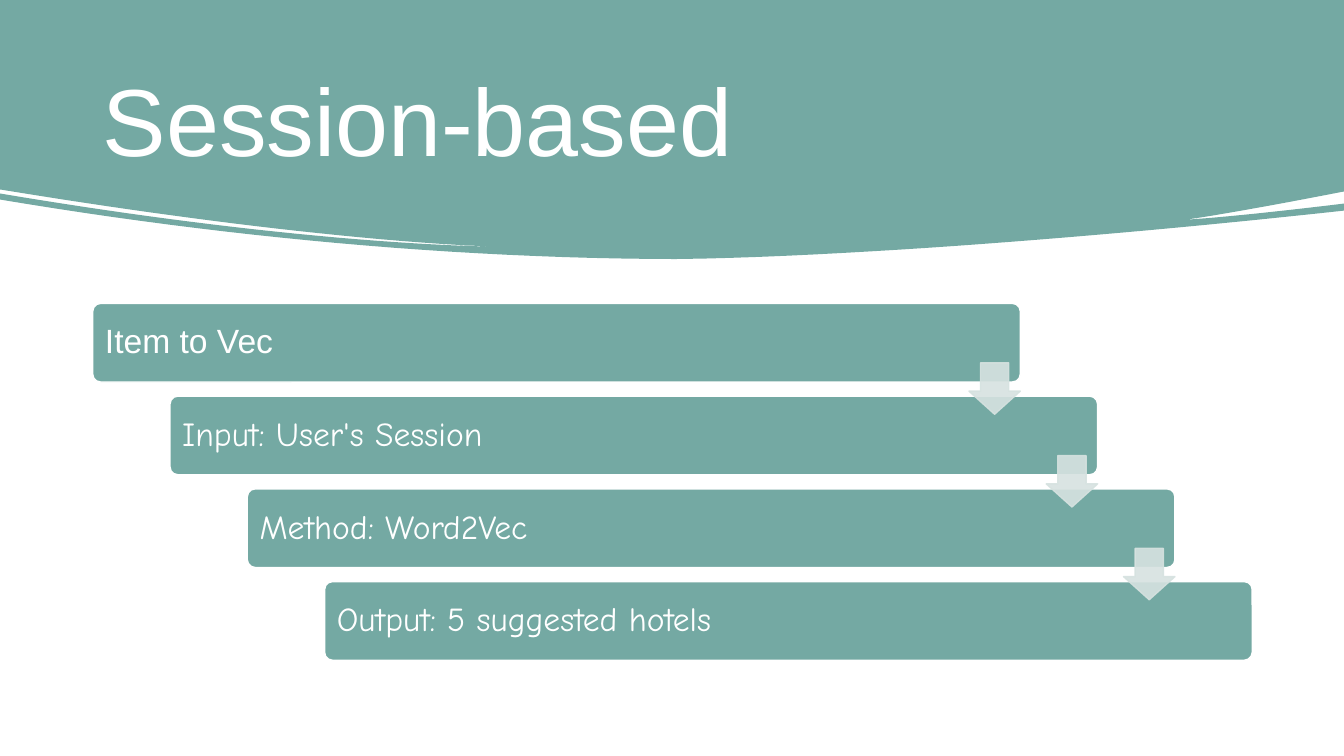
"""Build the "Session-based" slide: a curved banner above four stepped bars."""
from lxml import etree
from pptx import Presentation
from pptx.dml.color import RGBColor
from pptx.enum.shapes import MSO_SHAPE as Shape
from pptx.enum.text import MSO_ANCHOR as Anchor, PP_ALIGN as Align
from pptx.oxml.ns import qn
from pptx.util import Inches, Pt

TEAL, MIST, WHITE = "74A9A3", "D6E2E0", "FFFFFF"
WIDTH, HEIGHT = 13.33, 7.5


def paint(color_format, color):
    color_format.rgb = RGBColor.from_string(color)


def write(frame, words, font, size, line_spacing):
    layout = {"word_wrap": True, "vertical_anchor": Anchor.MIDDLE,
              "margin_left": Inches(0.1), "margin_right": Inches(0.1)}
    for name, value in layout.items():
        setattr(frame, name, value)
    paragraph = frame.paragraphs[0]
    paragraph.alignment = Align.LEFT
    paragraph.line_spacing = line_spacing
    run = paragraph.add_run()
    run.text = words
    for name, value in {"name": font, "size": Pt(size)}.items():
        setattr(run.font, name, value)
    paint(run.font.color, WHITE)


deck = Presentation()
deck.slide_width, deck.slide_height = Inches(WIDTH), Inches(HEIGHT)
slide = deck.slides.add_slide(deck.slide_layouts[6])
slide.background.fill.solid()
paint(slide.background.fill.fore_color, WHITE)

# Each arc rises from its low point to a slide edge: rise = share ** bend.
ARC_STEPS = 24
INWARD, OUTWARD = -1, 1
belly, left_tip, right_tip = (6.7, 2.57), (5.04, 2.45), (11.75, 2.18)
arcs = [
    (right_tip, (WIDTH, 1.9), 1.1, INWARD),
    (right_tip, (WIDTH, 2.02), 1.2, OUTWARD),
    (belly, (WIDTH, 2.09), 1.5, INWARD),
    (belly, (0, 1.98), 1.9, OUTWARD),
    (left_tip, (0, 1.92), 1.6, INWARD),
    (left_tip, (0, 1.88), 1.45, OUTWARD),
]
outline = [(0, 0), (WIDTH, 0)]
for (low_x, low_y), (edge_x, edge_y), bend, direction in arcs:
    shares = [step / ARC_STEPS for step in range(ARC_STEPS + 1)]
    outline += [(low_x + (edge_x - low_x) * share,
                 low_y + (edge_y - low_y) * share ** bend)
                for share in shares[::direction]]

corners = [(Inches(x), Inches(y)) for x, y in outline]
pen = slide.shapes.build_freeform(*corners[0])
pen.add_line_segments(corners[1:], close=True)
banner = pen.convert_to_shape()
banner.shadow.inherit = False
banner.fill.solid()
paint(banner.fill.fore_color, TEAL)
banner.line.fill.background()

title = slide.shapes.add_textbox(
    Inches(0.92), Inches(0.44), Inches(11.5), Inches(1.47))
write(title.text_frame, "Session-based", "Arial", 68, 1.0)

steps = [("Item to Vec", "Arial"), ("Input: User's Session", "Comic Neue"),
         ("Method: Word2Vec", "Comic Neue"),
         ("Output: 5 suggested hotels", "Comic Neue")]
BAR_X, BAR_Y, BAR_WIDTH, BAR_HEIGHT = 0.92, 3.01, 9.2, 0.78
STEP_X, STEP_Y = BAR_WIDTH / 12, 0.92
ARROW_SIZE = 0.51
ARROW_X, ARROW_Y = BAR_X + BAR_WIDTH - ARROW_SIZE, 3.6

bars = [(Shape.ROUNDED_RECTANGLE, BAR_X + i * STEP_X, BAR_Y + i * STEP_Y,
         BAR_WIDTH, BAR_HEIGHT, [0.1], TEAL, WHITE, step)
        for i, step in enumerate(steps)]
arrows = [(Shape.DOWN_ARROW, ARROW_X + i * STEP_X, ARROW_Y + i * STEP_Y,
           ARROW_SIZE, ARROW_SIZE, [0.55, 0.45], MIST, MIST, None)
          for i in range(len(steps) - 1)]

for preset, x, y, width, height, bends, fill, edge, step in bars + arrows:
    part = slide.shapes.add_shape(
        preset, Inches(x), Inches(y), Inches(width), Inches(height))
    part.shadow.inherit = False
    part.fill.solid()
    paint(part.fill.fore_color, fill)
    paint(part.line.color, edge)
    part.line.width = Pt(1)
    for i, bend in enumerate(bends):
        part.adjustments[i] = bend
    if step:
        write(part.text_frame, *step, 24, 0.9)
    else:
        for color in part.element.spPr.iter(qn("a:srgbClr")):
            etree.SubElement(color, qn("a:alpha"), val="90000")

deck.save("out.pptx")
